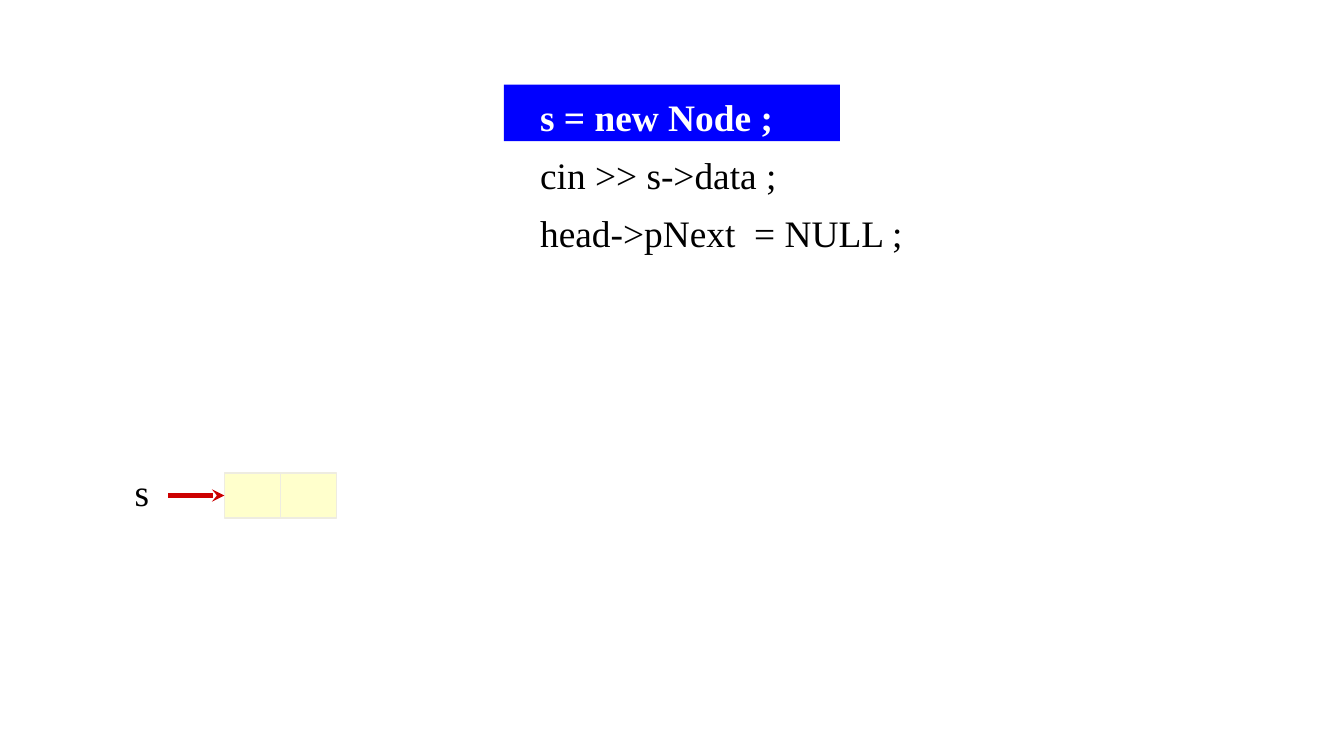
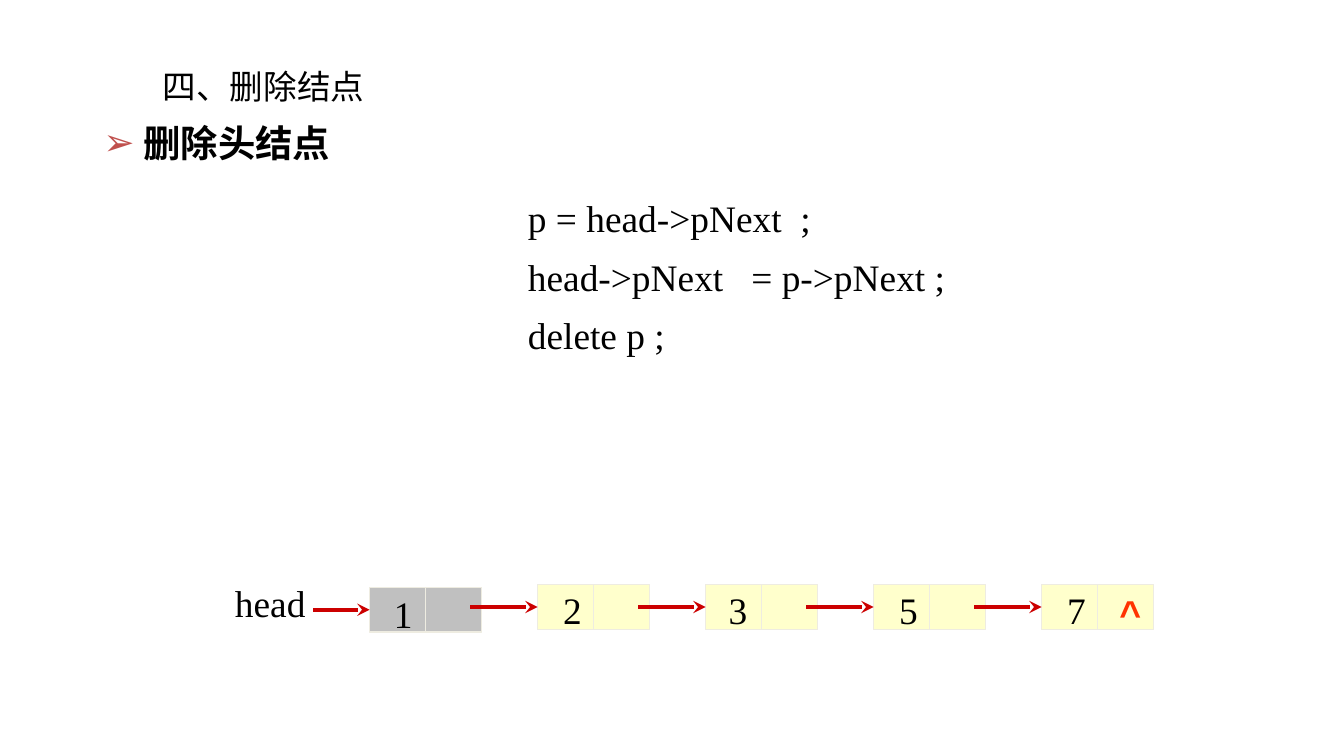
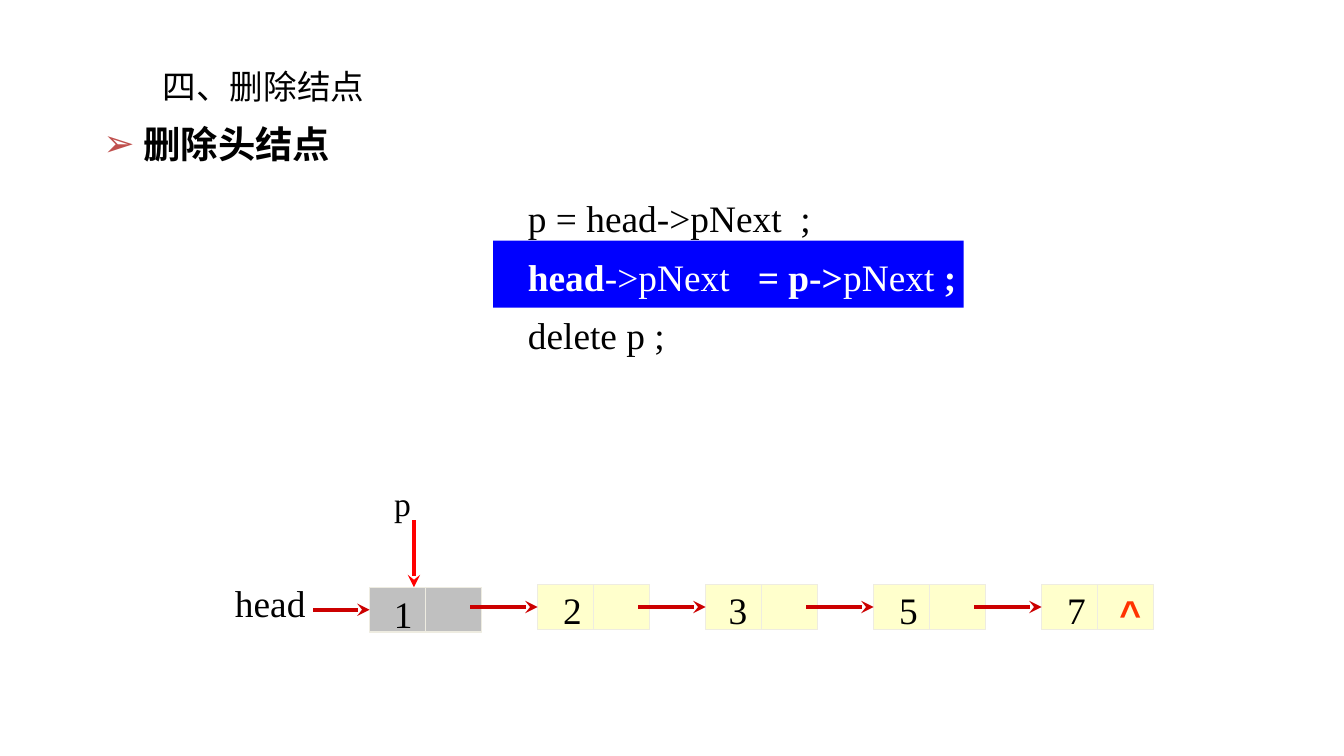
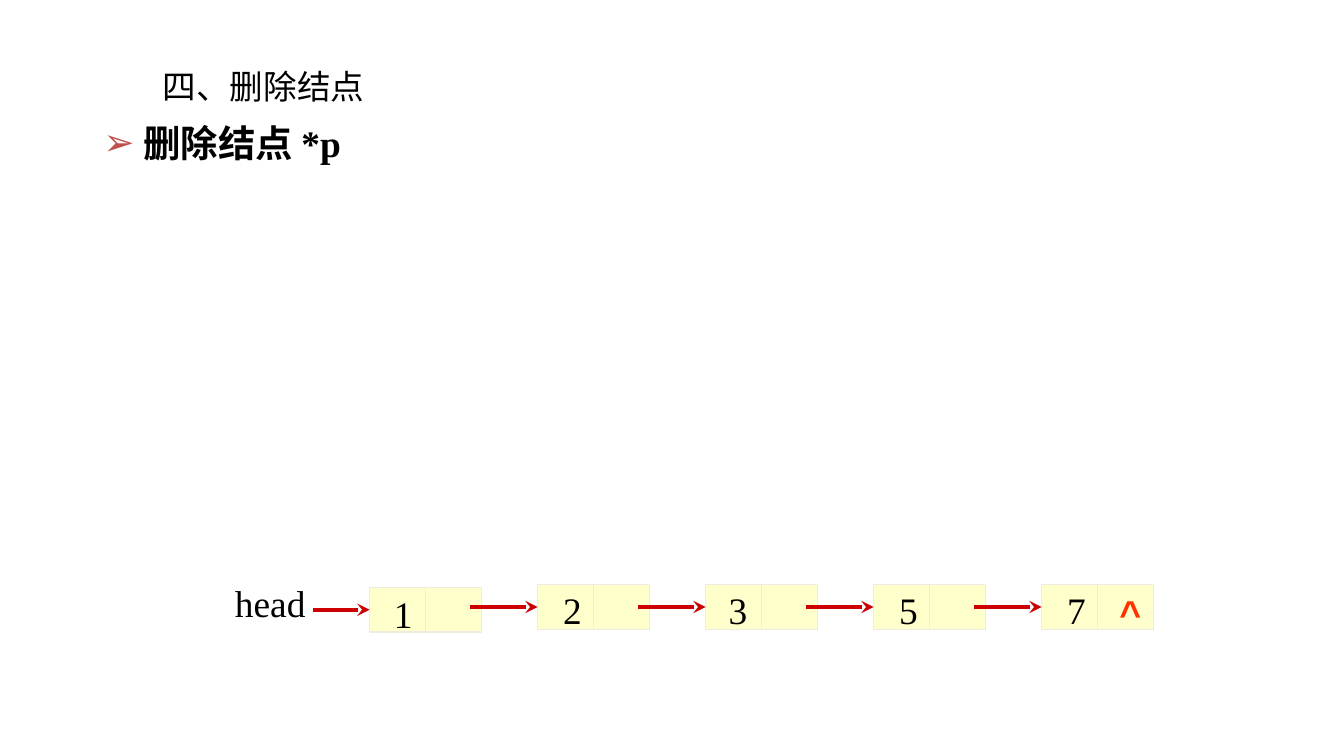
from lxml.etree import SubElement
from pptx import Presentation
from pptx.dml.color import RGBColor
from pptx.enum.shapes import MSO_CONNECTOR, MSO_SHAPE
from pptx.enum.text import MSO_ANCHOR, MSO_AUTO_SIZE, PP_ALIGN
from pptx.oxml.ns import qn
from pptx.util import Inches, Pt

BLACK = RGBColor(0x00, 0x00, 0x00)
WHITE = RGBColor(0xFF, 0xFF, 0xFF)
HIGHLIGHT_BLUE = RGBColor(0x00, 0x00, 0xFF)
NODE_YELLOW = RGBColor(0xFF, 0xFF, 0xCC)
NODE_GREY = RGBColor(0xC0, 0xC0, 0xC0)
NODE_BORDER = RGBColor(0xEE, 0xEC, 0xE1)
LINK_RED = RGBColor(0xCC, 0x00, 0x00)
POINTER_RED = RGBColor(0xFF, 0x00, 0x00)
NULL_RED = RGBColor(0xFF, 0x33, 0x00)

SERIF = "Times New Roman"
TITLE_AND_BODY, BLANK = 1, 6
NODE_WIDTH, NODE_HEIGHT = 5 / 6, 1 / 3
FIRST_NODE_LEFT, NODE_STEP = 2.75, 1.25
# Value of each node and the left edge of its label
NODE_LABELS = [("1", 2.83), ("2", 4.09), ("3", 5.32), ("5", 6.59), ("7", 7.84)]


def set_font(font, size=20, color=BLACK, bold=False, name=SERIF):
    font.size = Pt(size)
    font.name = name
    font.bold = bold
    font.color.rgb = color


def place(shape, left, top, width, height):
    shape.left, shape.top = Inches(left), Inches(top)
    shape.width, shape.height = Inches(width), Inches(height)


class Deck:
    def __init__(self):
        self.presentation = Presentation()
        self.presentation.slide_width = Inches(10)
        self.presentation.slide_height = Inches(10 * 9 / 16)

    def add_slide(self, layout):
        layouts = self.presentation.slide_layouts
        self.slide = self.presentation.slides.add_slide(layouts[layout])
        self.shapes = self.slide.shapes

    def start_group(self):
        """Send the elements that follow into a new group."""
        self.shapes = self.slide.shapes.add_group_shape().shapes

    def title(self, text):
        title = self.slide.shapes.title
        place(title, 1.04, 0.44, 2.95, 0.43)
        frame = title.text_frame
        frame.text = text
        frame.auto_size = MSO_AUTO_SIZE.NONE
        frame.vertical_anchor = MSO_ANCHOR.TOP
        paragraph = frame.paragraphs[0]
        paragraph.alignment = PP_ALIGN.LEFT
        paragraph.space_before = Pt(2.7)
        paragraph._p.get_or_add_pPr().set("indent", str(Inches(0.07)))
        set_font(paragraph.font, 18, name="Calibri")

    def bullet(self, text, top):
        body = self.slide.placeholders[1]
        place(body, 0.67, top, 8.75, 0.57)
        frame = body.text_frame
        frame.text = text
        frame.auto_size = MSO_AUTO_SIZE.SHAPE_TO_FIT_TEXT
        paragraph = frame.paragraphs[0]
        paragraph.line_spacing = 1.4
        paragraph.space_before = Pt(0)
        properties = paragraph._p.get_or_add_pPr()
        properties.set("marL", "0")
        properties.set("indent", "0")
        color = SubElement(properties, qn("a:buClr"))
        SubElement(color, qn("a:srgbClr"), val="C0504D")
        SubElement(properties, qn("a:buChar"), char="➢")
        set_font(paragraph.font, bold=True)

    def rectangle(self, left, top, width, height, fill, border=None):
        shape = self.shapes.add_shape(
            MSO_SHAPE.RECTANGLE, Inches(left), Inches(top), Inches(width), Inches(height))
        shape.shadow.inherit = False
        shape.fill.solid()
        shape.fill.fore_color.rgb = fill
        if border is None:
            shape.line.fill.background()
        else:
            shape.line.color.rgb = border
            shape.line.width = Pt(0.75)
        return shape

    def line(self, start, end, color, width, arrow=False):
        connector = self.shapes.add_connector(MSO_CONNECTOR.STRAIGHT, *start, *end)
        connector.line.color.rgb = color
        connector.line.width = Pt(width)
        if arrow:
            SubElement(connector.line._get_or_add_ln(), qn("a:tailEnd"), type="stealth")
        SubElement(connector._element.spPr, qn("a:effectLst"))
        return connector

    def node(self, left, top, fill=NODE_YELLOW):
        """Draw a box divided into a data half and a link half."""
        box = self.rectangle(left, top, NODE_WIDTH, NODE_HEIGHT, fill, NODE_BORDER)
        middle = box.left + box.width // 2
        divider = self.line((middle, box.top), (middle, box.top + box.height), NODE_BORDER, 0.75)
        divider.begin_connect(box, 0)
        divider.end_connect(box, 2)
        return box

    def link(self, start, node):
        """Draw a level arrow from the x position start to the node's left side."""
        middle = node.top + node.height // 2
        arrow = self.line((Inches(start), middle), (node.left, middle), LINK_RED, 2.25, arrow=True)
        arrow.end_connect(node, 1)

    def text_box(self, left, top, width, height, anchor=MSO_ANCHOR.MIDDLE, wrap=True):
        box = self.shapes.add_textbox(Inches(left), Inches(top), Inches(width), Inches(height))
        frame = box.text_frame
        frame.word_wrap = wrap
        frame.auto_size = MSO_AUTO_SIZE.SHAPE_TO_FIT_TEXT
        frame.vertical_anchor = anchor
        return frame

    def label(self, text, left, top, width=0.34, height=0.43, centred=True, **style):
        frame = self.text_box(left, top, width, height, wrap=not centred)
        paragraph = frame.paragraphs[0]
        paragraph.text = text
        paragraph.alignment = PP_ALIGN.CENTER if centred else PP_ALIGN.LEFT
        set_font(paragraph.font, **style)

    def code(self, lines, left, top, width, anchor=MSO_ANCHOR.MIDDLE):
        """Write code lines; a list of (text, bold) runs is a highlighted line."""
        frame = self.text_box(left, top, width, 1.37, anchor)
        for index, line in enumerate(lines):
            paragraph = frame.paragraphs[0] if index == 0 else frame.add_paragraph()
            paragraph.line_spacing = 1.3
            if isinstance(line, str):
                paragraph.text = line
                set_font(paragraph.font)
                continue
            for text, bold in line:
                run = paragraph.add_run()
                run.text = text
                set_font(run.font, color=WHITE, bold=bold)

    def linked_list(self, head_fill):
        self.start_group()
        for index, (value, label_left) in enumerate(NODE_LABELS):
            left = FIRST_NODE_LEFT + NODE_STEP * index
            is_head = index == 0
            node = self.node(left, 4.37 if is_head else 4.35, head_fill if is_head else NODE_YELLOW)
            self.link(2.33 if is_head else left - 0.5, node)
            self.label(value, label_left, 4.35 if is_head else 4.32)
        self.label("head", 1.65, 4.27, width=1.07, centred=False)
        self.label("^", 8.23, 4.34, width=0.36, name="Arial", color=NULL_RED, bold=True)

    def deletion_slide(self, heading, top=0.71):
        self.add_slide(TITLE_AND_BODY)
        self.title("四、删除结点")
        self.bullet(heading, top)


def main():
    deck = Deck()

    deck.add_slide(BLANK)
    deck.rectangle(3.75, 0.63, 2.5, 0.42, HIGHLIGHT_BLUE)
    deck.code([[("s = new Node ;", True)], "cin >> s->data ;", "head->pNext  = NULL ;"],
              3.92, 0.55, 3.05, MSO_ANCHOR.TOP)
    deck.start_group()
    new_node = deck.node(1.67, 3.52)
    deck.start_group()
    deck.link(1.25, new_node)
    deck.label("s", 0.9, 3.44, width=0.31)

    first_line, last_line = "p = head->pNext  ;", "delete p ;"
    deck.deletion_slide(" 删除头结点")
    deck.code([first_line, "head->pNext   = p->pNext ;", last_line], 3.83, 1.32, 3.4)
    deck.linked_list(NODE_GREY)

    deck.deletion_slide(" 删除头结点", top=0.72)
    deck.rectangle(3.67, 1.79, 3.5, 0.5, HIGHLIGHT_BLUE)
    relink = [("head", True), ("->pNext   ", False), ("= p->", True), ("pNext", False), (" ;", True)]
    deck.code([first_line, relink, last_line], 3.83, 1.32, 3.5)
    deck.start_group()
    deck.line((Inches(3.08), Inches(3.87)), (Inches(3.08), Inches(4.37)),
              POINTER_RED, 2.25, arrow=True)
    deck.label("p", 2.83, 3.54, width=0.33, height=0.4, size=18)
    deck.linked_list(NODE_GREY)

    deck.deletion_slide(" 删除结点 *p")
    deck.linked_list(NODE_YELLOW)

    deck.presentation.save("out.pptx")


if __name__ == "__main__":
    main()
